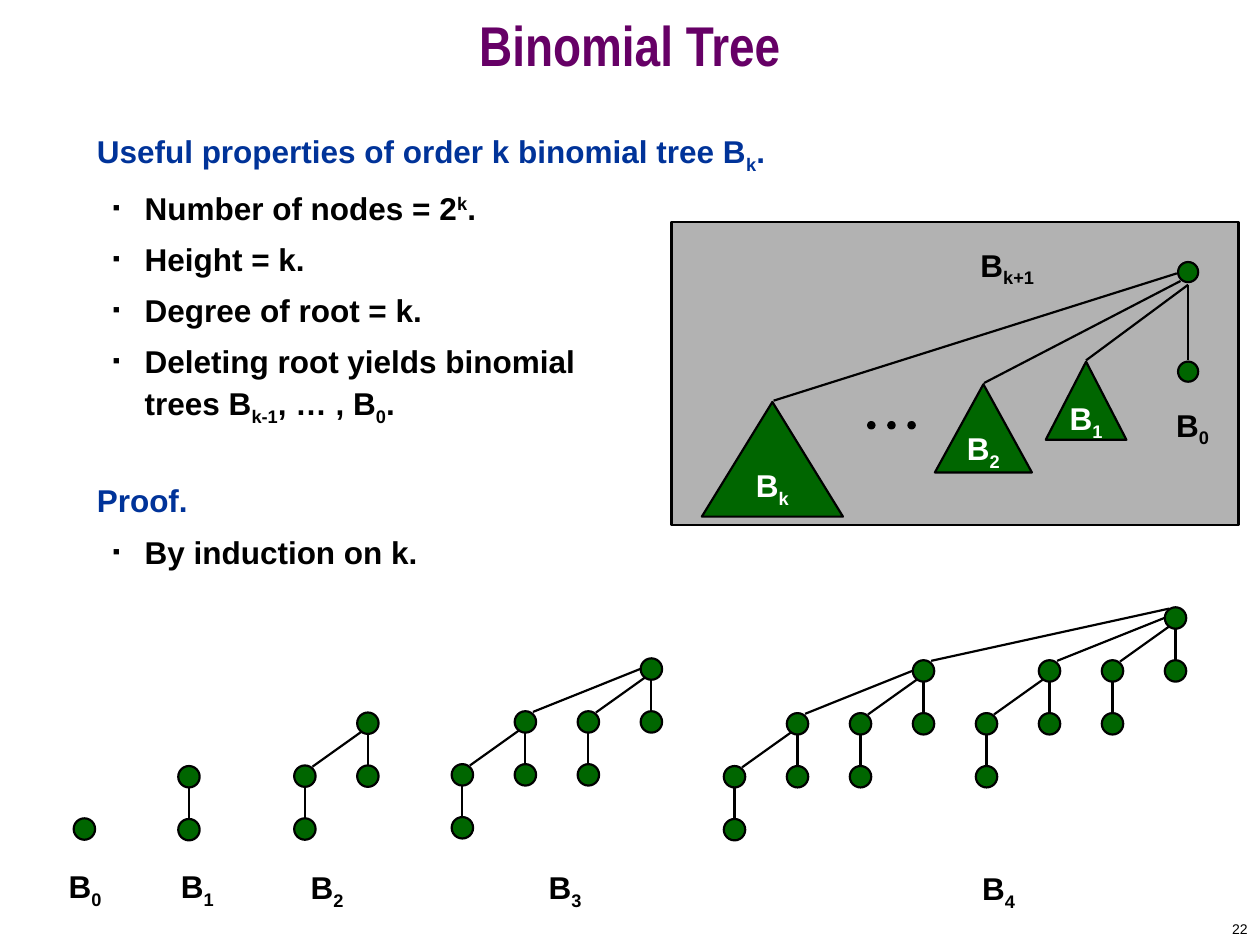
from lxml import etree
from pptx import Presentation
from pptx.dml.color import RGBColor
from pptx.enum.shapes import MSO_CONNECTOR, MSO_SHAPE
from pptx.enum.text import MSO_ANCHOR, PP_ALIGN
from pptx.oxml.ns import qn
from pptx.util import Inches, Pt

OVAL, TRIANGLE, RECTANGLE = MSO_SHAPE.OVAL, MSO_SHAPE.ISOSCELES_TRIANGLE, MSO_SHAPE.RECTANGLE
STRAIGHT = MSO_CONNECTOR.STRAIGHT
MIDDLE = MSO_ANCHOR.MIDDLE
CENTER, RIGHT = PP_ALIGN.CENTER, PP_ALIGN.RIGHT

BLACK = RGBColor(0x00, 0x00, 0x00)
WHITE = RGBColor(0xFF, 0xFF, 0xFF)
PURPLE = RGBColor(0x66, 0x00, 0x66)
BLUE = RGBColor(0x00, 0x33, 0x99)
GREEN = RGBColor(0x00, 0x66, 0x00)
GRAY = RGBColor(0xB2, 0xB2, 0xB2)
LINE_WIDTH = Pt(1.25)
SUBSCRIPT, SUPERSCRIPT = -25000, 30000

presentation = Presentation()
presentation.slide_width, presentation.slide_height = Inches(10), Inches(7.5)
slide = presentation.slides.add_slide(presentation.slide_layouts[6])

# Grid of 100 columns by 75 rows
COLUMN = presentation.slide_width / 100
ROW = presentation.slide_height / 75


def write(paragraph, pieces, color, size=18, name="Arial", bold=True, script=SUBSCRIPT):
    """Write pieces that alternate between plain text and script text."""
    for index, piece in enumerate(pieces):
        for line_number, line in enumerate(piece.split("\n")):
            if line_number:
                paragraph.add_line_break()
            run = paragraph.add_run()
            run.text = line
            if index % 2:
                run.font._element.set("baseline", str(script))
    font = paragraph.font
    font.size, font.name, font.bold = Pt(size), name, bold
    font.color.rgb = color


def add_shape(kind, left, top, width, height, fill):
    shape = slide.shapes.add_shape(
        kind, int(left * COLUMN), int(top * ROW), int(width * COLUMN), int(height * ROW))
    shape.shadow.inherit = False
    shape.fill.solid()
    shape.fill.fore_color.rgb = fill
    shape.line.color.rgb = BLACK
    shape.line.width = LINE_WIDTH
    return shape


# Title, body, slide number and tree labels
text_boxes = {}
for key, left, top, width, height in [
    ("title", 0, 0, 100, 8.3),
    ("body", 6.7, 10, 85.8, 59.2),
    ("number", 79.2, 72.5, 20.8, 2.5),
]:
    box = slide.shapes.add_textbox(
        int(left * COLUMN), int(top * ROW), int(width * COLUMN), int(height * ROW))
    box.text_frame.word_wrap = True
    text_boxes[key] = box.text_frame

title = text_boxes["title"]
title.vertical_anchor = MIDDLE
title.paragraphs[0].alignment = CENTER
title.paragraphs[0].line_spacing = 0.7
write(title.paragraphs[0], ["Binomial Tree"], PURPLE, 32, "Arial Narrow")

number = text_boxes["number"]
number.vertical_anchor = MIDDLE
number.paragraphs[0].alignment = RIGHT
write(number.paragraphs[0], ["22"], BLACK, 8, bold=False)

# Body: blue headings with bulleted properties
body = text_boxes["body"]
for index, (is_heading, space, script, pieces) in enumerate([
    (True, 0, SUBSCRIPT, ["Useful properties of order k binomial tree B", "k", "."]),
    (False, 5.5, SUPERSCRIPT, ["Number of nodes = 2", "k", "."]),
    (False, 5.5, SUBSCRIPT, ["Height = k."]),
    (False, 5.5, SUBSCRIPT, ["Degree of root = k."]),
    (False, 5.5, SUBSCRIPT,
     ["Deleting root yields binomial\ntrees B", "k-1", ", … , B", "0", "."]),
    (True, 31, SUBSCRIPT, ["Proof."]),
    (False, 5.5, SUBSCRIPT, ["By induction on k."]),
]):
    paragraph = body.add_paragraph() if index else body.paragraphs[0]
    paragraph.space_before = Pt(space)
    if not is_heading:
        paragraph.level = 1
        paragraph.line_spacing = 1.1
        properties = paragraph._p.get_or_add_pPr()
        properties.set("marL", str(Inches(0.38)))
        properties.set("indent", str(Inches(-0.25)))
        bullet_color = etree.SubElement(properties, qn("a:buClr"))
        etree.SubElement(bullet_color, qn("a:srgbClr"), val=str(BLACK))
        etree.SubElement(properties, qn("a:buSzPct"), val="35000")
        etree.SubElement(properties, qn("a:buFont"), typeface="Arial")
        etree.SubElement(properties, qn("a:buChar"), char="■")
    write(paragraph, pieces, BLUE if is_heading else BLACK, script=script)

# Panel: structure of the tree of order k+1
add_shape(RECTANGLE, 53.3, 17.6, 45, 24.1, GRAY)
for script, left, top, width, height in [
    ("1", 83, 28.7, 6.4, 6.2),
    ("2", 74.2, 30.5, 7.7, 7),
    ("k", 55.7, 31.9, 11.2, 9.1),
]:
    triangle = add_shape(TRIANGLE, left, top, width, height, GREEN)
    frame = triangle.text_frame
    frame.word_wrap = False
    frame.vertical_anchor = MIDDLE
    frame.paragraphs[0].alignment = CENTER
    write(frame.paragraphs[0], ["B", script], WHITE)
for step in range(3):
    add_shape(OVAL, 68.9 + 1.6 * step, 33.5, 0.5, 0.5, BLACK)
for top in (20.8, 28.7):
    add_shape(OVAL, 93.5, top, 1.6, 1.6, GREEN)
edges = [
    (94.3, 22.6, 94.3, 28.6),
    (94.3, 22.6, 86.2, 28.6),
    (93.7, 22.3, 78.1, 30.4),
    (93.4, 21.7, 61.4, 31.8),
]

# Trees of order 0 to 4: clearing the lowest set bit of a node gives its parent,
# the count of set bits is its depth
NODE, STEP_X, STEP_Y = 1.7, 5, 4.2
# Edge ends relative to the centres of parent and child, by order of the child
EDGE_ENDS = [
    (0, 0.9, 0, -0.9),
    (-0.55, 0.7, 0.6, -0.75),
    (-0.9, 0, 0.6, -0.8),
    (-0.5, -0.75, 0.6, -0.8),
]
for order, (root_x, root_y) in enumerate(
        [(6.7, 65.8), (15, 61.65), (29.2, 57.4), (51.7, 53.1), (93.3, 49.05)]):
    centers = []
    for node in range(2 ** order):
        x = root_x - node // 2 * STEP_X
        y = root_y + bin(node).count("1") * STEP_Y
        centers.append((x, y))
        add_shape(OVAL, x - NODE / 2, y - NODE / 2, NODE, NODE, GREEN)
        if node:
            parent = node & (node - 1)
            parent_x, parent_y = centers[parent]
            child_order = (node - parent).bit_length() - 1
            start_x, start_y, end_x, end_y = EDGE_ENDS[child_order]
            edges.append((parent_x + start_x, parent_y + start_y, x + end_x, y + end_y))

# Edges of the panel and of all trees
for edge in edges:
    start_x, start_y, end_x, end_y = edge
    connector = slide.shapes.add_connector(
        STRAIGHT, int(start_x * COLUMN), int(start_y * ROW),
        int(end_x * COLUMN), int(end_y * ROW))
    connector.line.color.rgb = BLACK
    connector.line.width = LINE_WIDTH
    etree.SubElement(connector._element.spPr, qn("a:effectLst"))

# Tree labels
for script, left, top, width in [
    ("0", 3.3, 68.3, 6.9),
    ("1", 12.2, 68.3, 6.9),
    ("2", 22.5, 68.4, 6.9),
    ("3", 41.4, 68.4, 6.9),
    ("4", 75.8, 68.5, 6.9),
    ("k+1", 76.6, 19, 6.7),
    ("0", 91.7, 31.7, 5.9),
]:
    label = slide.shapes.add_textbox(
        int(left * COLUMN), int(top * ROW), int(width * COLUMN), int(4.4 * ROW))
    label.text_frame.word_wrap = True
    label.text_frame.paragraphs[0].alignment = CENTER
    write(label.text_frame.paragraphs[0], ["B", script], BLACK)

presentation.save("out.pptx")
